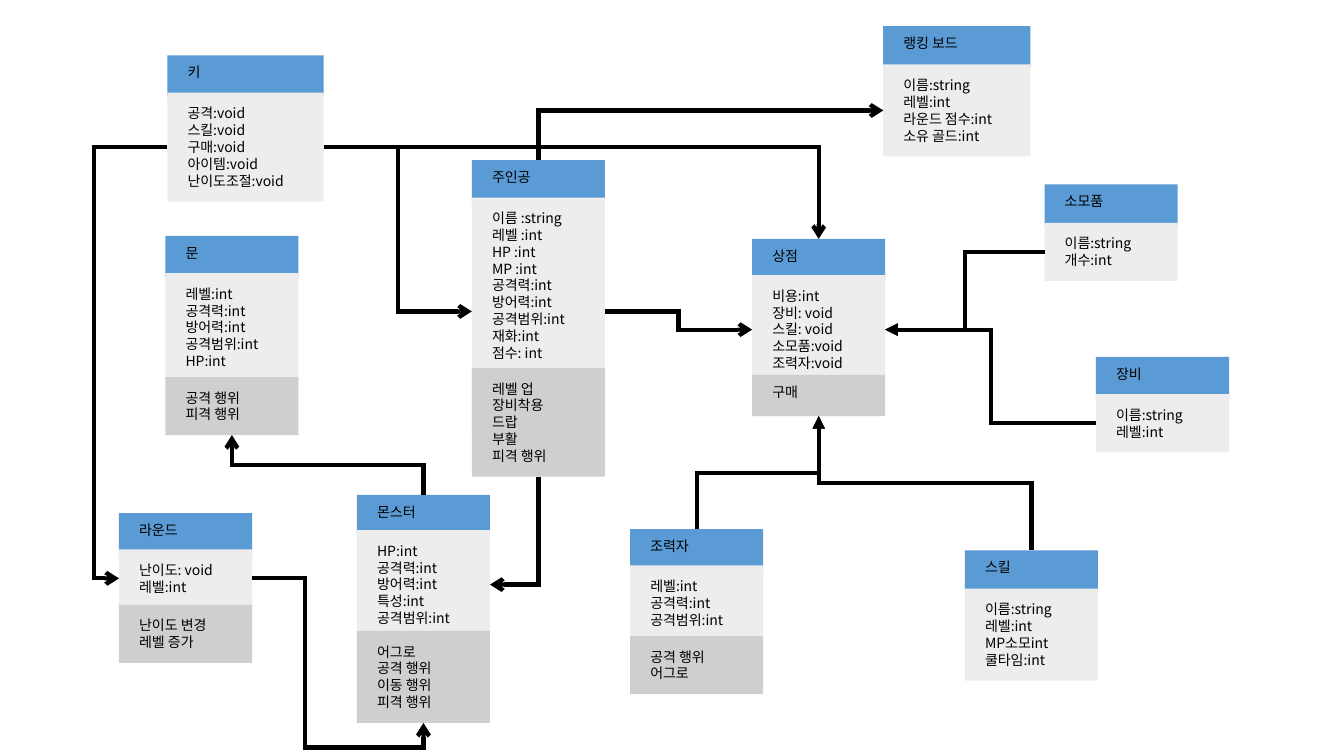
from lxml import etree
from pptx import Presentation
from pptx.dml.color import RGBColor
from pptx.enum.shapes import MSO_CONNECTOR, MSO_SHAPE
from pptx.enum.text import MSO_ANCHOR, MSO_AUTO_SIZE, PP_ALIGN
from pptx.oxml.ns import qn
from pptx.util import Inches, Pt

RECTANGLE = MSO_SHAPE.RECTANGLE
ELBOW = MSO_CONNECTOR.ELBOW
TOP_ANCHOR = MSO_ANCHOR.TOP
GROW = MSO_AUTO_SIZE.SHAPE_TO_FIT_TEXT
LEFT_ALIGN = PP_ALIGN.LEFT
TOP, LEFT, BOTTOM, RIGHT = range(4)

CLASSES = [
    ("키", 16.6, 15.5, (5.5, 9.2),
     ["공격:void", "스킬:void", "구매:void", "아이템:void", "난이도조절:void"]),
    ("스킬", 95.7, 13.2, (54.6, 58.4),
     ["이름:string", "레벨:int", "MP소모int", "쿨타임:int"]),
    ("랭킹 보드", 87.6, 14.6, (2.6, 6.4),
     ["이름:string", "레벨:int", "라운드 점수:int", "소유 골드:int"]),
    ("소모품", 103.6, 13.2, (18.3, 22.1), ["이름:string", "개수:int"]),
    ("장비", 108.7, 13.2, (35.4, 39.1), ["이름:string", "레벨:int"]),
    ("주인공", 46.8, 13.2, (15.9, 19.6, 36.5),
     ["이름 :string", "레벨 :int", "HP :int", "MP :int", "공격력:int",
      "방어력:int", "공격범위:int", "재화:int", "점수: int"],
     ["레벨 업", "장비착용", "드랍", "부활", "피격 행위"]),
    ("문", 16.4, 13.2, (23.4, 27.1, 37.4),
     ["레벨:int", "공격력:int", "방어력:int", "공격범위:int", "HP:int"],
     ["공격 행위", "피격 행위"]),
    ("상점", 74.6, 13.2, (23.7, 27.3, 37.2),
     ["비용:int", "장비: void", "스킬: void", "소모품:void", "조력자:void"],
     ["구매"]),
    ("조력자", 62.5, 13.2, (52.5, 56.1, 63.1),
     ["레벨:int", "공격력:int", "공격범위:int"], ["공격 행위", "어그로"]),
    ("몬스터", 35.4, 13.2, (49.1, 52.6, 62.6),
     ["HP:int", "공격력:int", "방어력:int", "특성:int", "공격범위:int"],
     ["어그로", "공격 행위", "이동 행위", "피격 행위"]),
    ("라운드", 11.8, 13.2, (50.9, 54.5, 60),
     ["난이도: void", "레벨:int"], ["난이도 변경", "레벨 증가"]),
]
HEAD, FIELDS, ACTIONS = range(3)
MIDDLE = (0.5,)
LINKS = [
    ("몬스터", HEAD, TOP, "문", ACTIONS, BOTTOM, "arrow", MIDDLE),
    ("조력자", HEAD, TOP, "상점", ACTIONS, BOTTOM, "triangle", MIDDLE),
    ("소모품", FIELDS, LEFT, "상점", FIELDS, RIGHT, "triangle", MIDDLE),
    ("스킬", HEAD, TOP, "상점", ACTIONS, BOTTOM, "triangle", MIDDLE),
    ("주인공", FIELDS, RIGHT, "상점", FIELDS, LEFT, "arrow", MIDDLE),
    ("주인공", ACTIONS, BOTTOM, "몬스터", FIELDS, RIGHT, "arrow", ()),
    ("주인공", HEAD, TOP, "랭킹 보드", FIELDS, LEFT, "arrow", ()),
    ("키", FIELDS, RIGHT, "주인공", FIELDS, LEFT, "arrow", MIDDLE),
    ("장비", FIELDS, LEFT, "상점", FIELDS, RIGHT, "triangle", MIDDLE),
    ("키", FIELDS, RIGHT, "상점", HEAD, TOP, "arrow", ()),
    ("키", FIELDS, LEFT, "라운드", FIELDS, LEFT, "arrow", (1.52,)),
    ("라운드", FIELDS, RIGHT, "몬스터", ACTIONS, BOTTOM, "arrow", (0.31, 1.17)),
]
TALL_FIELDS = {"주인공": 22.6}


def color(hex_text):
    """Turn a hex string into a colour."""
    return RGBColor.from_string(hex_text)


class ClassDiagram:
    """Draw class boxes and links on a grid of tenth-inch cells."""

    cell = Inches(0.1)
    font = "Noto Sans CJK KR"
    ink = "000000"
    fills = ("5B9BD5", "EDEDED", "D0CECE")

    def __init__(self, slide):
        """Keep the slide that is drawn on."""
        self.slide = slide

    def cells(self, count):
        """Turn grid cells into a length."""
        return round(count * self.cell)

    def section(self, column, row, width, lines, fill, height=None):
        """Add one filled part of a class box."""
        height = height or 2.4 + 1.68 * len(lines)
        part = self.slide.shapes.add_shape(
            RECTANGLE, *map(self.cells, (column, row, width, height)))
        part.shadow.inherit = False
        part.fill.solid()
        part.fill.fore_color.rgb = color(fill)
        part.line.fill.background()
        frame = part.text_frame
        frame.word_wrap = True
        frame.auto_size = GROW
        frame.vertical_anchor = TOP_ANCHOR
        frame.margin_left = frame.margin_right = self.cells(2)
        frame.margin_top = frame.margin_bottom = self.cells(1.2)
        frame.text = "\n".join(lines)
        for paragraph in frame.paragraphs:
            paragraph.alignment = LEFT_ALIGN
            paragraph.font.size = Pt(10)
            paragraph.font.name = self.font
            paragraph.font.color.rgb = color(self.ink)
            defaults = paragraph._p.pPr.find(qn("a:defRPr"))
            etree.SubElement(defaults, qn("a:ea"), typeface=self.font)
        return part

    def class_box(self, name, column, width, rows, *members):
        """Stack the head, fields and actions of a class."""
        heights = (None, TALL_FIELDS.get(name), None)
        return [self.section(column, row, width, lines, fill, height)
                for row, lines, fill, height
                in zip(rows, ([name], *members), self.fills, heights)]

    def link(self, source, source_side, target, target_side, head, bends):
        """Join two sections by an elbow line with an arrowhead."""
        line = self.slide.shapes.add_connector(ELBOW, 0, 0, 0, 0)
        line.begin_connect(source, source_side)
        line.end_connect(target, target_side)
        line.line.width = Pt(3)
        line.line.color.rgb = color(self.ink)
        properties = line.element.spPr
        stroke = properties.find(qn("a:ln"))
        etree.SubElement(stroke, qn("a:miter"), lim="800000")
        etree.SubElement(stroke, qn("a:tailEnd"), type=head)
        etree.SubElement(properties, qn("a:effectLst"))
        self.bend(line, source_side in (TOP, BOTTOM), bends)

    def bend(self, line, upright, bends):
        """Set the turn, flips and bend places of an elbow line."""
        across, down = line.end_x - line.begin_x, line.end_y - line.begin_y
        center_x = (line.begin_x + line.end_x) / 2
        center_y = (line.begin_y + line.end_y) / 2
        width, height = abs(across), abs(down)
        turn, flip_h, flip_v = 0, across < 0, down < 0
        if upright:
            width, height = height, width
            turn, flip_h, flip_v = 90, down < 0, across > 0
        if flip_h and not (upright and flip_v):
            turn, flip_h, flip_v = turn + 180, False, not flip_v
        line.left, line.top = round(center_x - width / 2), round(center_y - height / 2)
        line.width, line.height = width, height
        frame = line.element.spPr.find(qn("a:xfrm"))
        frame.set("rot", str(turn * 60000))
        frame.set("flipH", str(int(flip_h)))
        frame.set("flipV", str(int(flip_v)))
        geometry = line.element.spPr.find(qn("a:prstGeom"))
        geometry.set("prst", f"bentConnector{len(bends) + 2}")
        places = geometry.find(qn("a:avLst"))
        for number, share in enumerate(bends, 1):
            etree.SubElement(places, qn("a:gd"), name=f"adj{number}",
                             fmla=f"val {round(share * 100000)}")


def main():
    """Build the class diagram and save it."""
    deck = Presentation()
    deck.slide_width, deck.slide_height = Inches(13.33), Inches(7.5)
    diagram = ClassDiagram(deck.slides.add_slide(deck.slide_layouts[6]))
    boxes = {entry[0]: diagram.class_box(*entry) for entry in CLASSES}
    for source, part, side, target, target_part, target_side, head, bends in LINKS:
        diagram.link(boxes[source][part], side,
                     boxes[target][target_part], target_side, head, bends)
    deck.save("out.pptx")


if __name__ == "__main__":
    main()
